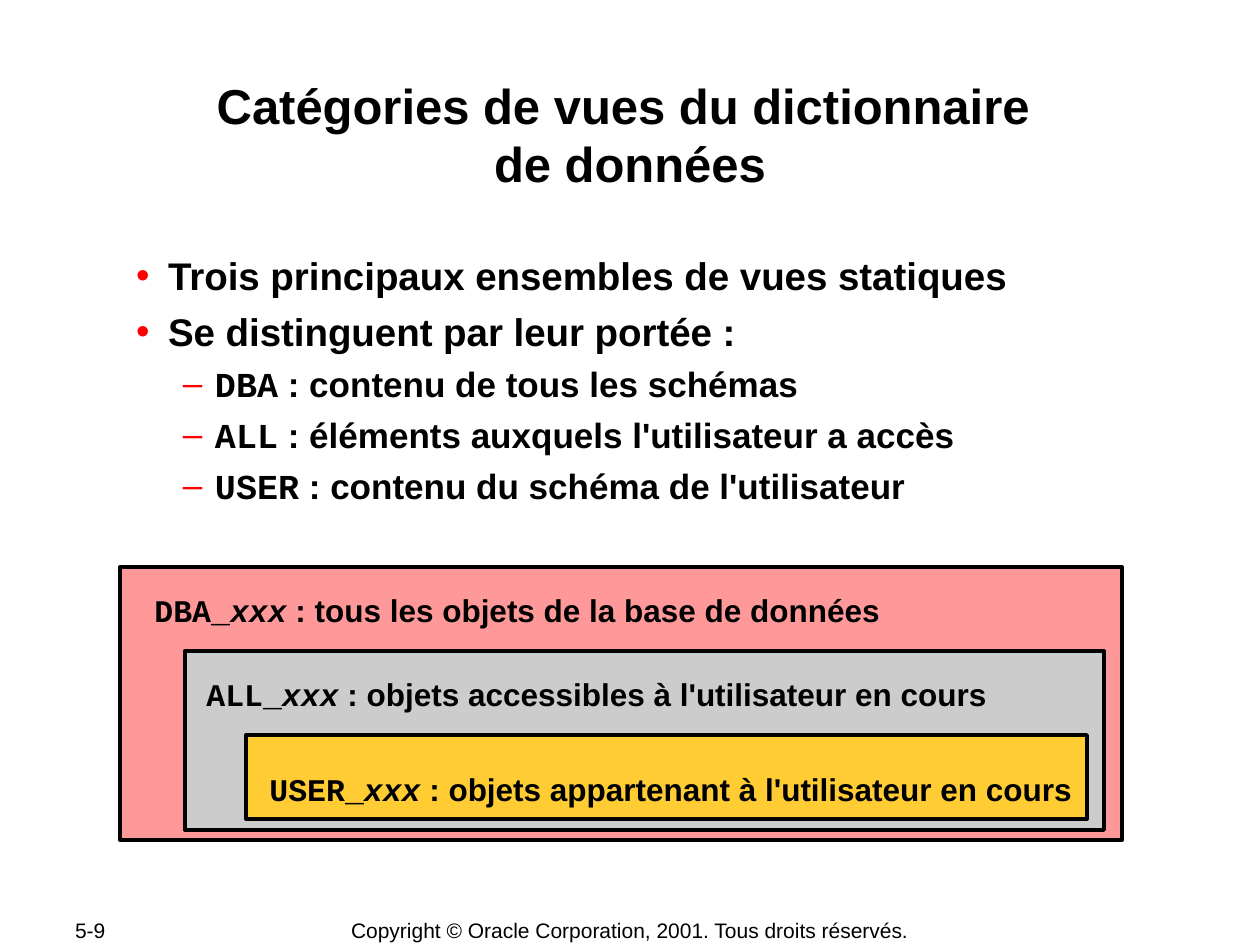
from lxml import etree
from pptx import Presentation
from pptx.dml.color import RGBColor
from pptx.enum.shapes import MSO_SHAPE
from pptx.enum.text import MSO_ANCHOR, MSO_AUTO_SIZE, PP_ALIGN
from pptx.oxml.ns import qn
from pptx.util import Emu, Pt

ROUNDED = MSO_SHAPE.ROUNDED_RECTANGLE
TOP, MIDDLE = MSO_ANCHOR.TOP, MSO_ANCHOR.MIDDLE
NO_FIT, GROW = MSO_AUTO_SIZE.NONE, MSO_AUTO_SIZE.SHAPE_TO_FIT_TEXT
LEFT, CENTER = PP_ALIGN.LEFT, PP_ALIGN.CENTER
PX_PER_INCH = 126
SANS, MONO = "Arial", "Courier New"
COLORS = {
    "text": "000000",
    "bullet": "FF0000",
    "dba": "FF9999",
    "all": "CCCCCC",
    "user": "FFCC33",
}
BULLETS = [
    (1, "", "Trois principaux ensembles de vues statiques"),
    (1, "", "Se distinguent par leur portée :"),
    (2, "DBA", " : contenu de tous les schémas"),
    (2, "ALL", " : éléments auxquels l'utilisateur a accès"),
    (2, "USER", " : contenu du schéma de l'utilisateur"),
]
BULLET_STYLES = {1: ("•", 48, 22, 5.5), 2: ("–", 95, 20, 5)}
SCOPES = [
    ("dba", (120, 567, 1002, 273), (142, 577, 751, 58),
     "DBA_", " : tous les objets de la base de données"),
    ("all", (185, 651, 919, 179), (194, 661, 806, 58),
     "ALL_", " : objets accessibles à l'utilisateur en cours"),
    ("user", (246, 735, 841, 84), (257, 756, 828, 58),
     "USER_", " : objets appartenant à l'utilisateur en cours"),
]


def px(length):
    """Turn px into EMU."""
    return Emu(round(length * 914400 / PX_PER_INCH))


def color(name):
    """Look up a palette colour."""
    return RGBColor.from_string(COLORS[name])


def place(shape, box):
    """Move and size a shape to a box in px."""
    shape.left, shape.top, shape.width, shape.height = map(px, box)


def format_run(run, size, font=SANS, bold=True):
    """Set the font of a run."""
    run.font.name = font
    run.font.size = Pt(size)
    run.font.bold = bold
    run.font.color.rgb = color("text")


def add_run(paragraph, text, size, font=SANS):
    """Append a formatted bold run to a paragraph."""
    run = paragraph.add_run()
    run.text = text
    format_run(run, size, font)
    return run


def prepare_placeholder(shape, box):
    """Place a placeholder with thin insets and return its text frame."""
    place(shape, box)
    frame = shape.text_frame
    frame.auto_size = NO_FIT
    frame.vertical_anchor = TOP
    frame.margin_left = frame.margin_right = px(1)
    frame.margin_top = frame.margin_bottom = px(1)
    return frame


def add_bullet(paragraph, character, margin):
    """Give a paragraph a coloured bullet and a hanging indent."""
    properties = paragraph._p.get_or_add_pPr()
    properties.set("marL", str(px(margin)))
    properties.set("indent", str(-px(32)))
    bullet_color = etree.SubElement(properties, qn("a:buClr"))
    etree.SubElement(bullet_color, qn("a:srgbClr"), val=COLORS["bullet"])
    etree.SubElement(properties, qn("a:buChar"), char=character)


def build_title(shape, box):
    """Fill the title placeholder."""
    frame = prepare_placeholder(shape, box)
    frame.text = "Catégories de vues du dictionnaire \vde données"
    paragraph = frame.paragraphs[0]
    paragraph.alignment = CENTER
    for run in paragraph.runs:
        format_run(run, 28)


def build_body(shape, box):
    """Fill the body placeholder with the two-level list."""
    frame = prepare_placeholder(shape, box)
    for index, (level, prefix, text) in enumerate(BULLETS):
        paragraph = frame.add_paragraph() if index else frame.paragraphs[0]
        character, margin, size, space = BULLET_STYLES[level]
        paragraph.level = level
        add_bullet(paragraph, character, margin)
        paragraph.space_before = Pt(space if index else 0)
        if prefix:
            add_run(paragraph, prefix, size, MONO)
        add_run(paragraph, text, size)


def build_scope(slide, fill, box, label_box, prefix, text):
    """Draw one nested scope box with its label."""
    shape = slide.shapes.add_shape(ROUNDED, *map(px, box))
    shape.adjustments[0] = 0
    shape.shadow.inherit = False
    shape.fill.solid()
    shape.fill.fore_color.rgb = color(fill)
    shape.line.color.rgb = color("text")
    shape.line.width = Pt(2.25)
    label = slide.shapes.add_textbox(*map(px, label_box))
    frame = label.text_frame
    frame.word_wrap = False
    frame.auto_size = GROW
    paragraph = frame.paragraphs[0]
    paragraph.line_spacing = 1.2
    add_run(paragraph, prefix, 18, MONO)
    add_run(paragraph, "xxx", 18, MONO).font.italic = True
    add_run(paragraph, text, 18)


def build_footer(slide, box, text, alignment):
    """Add one line of footer text without insets."""
    shape = slide.shapes.add_textbox(*map(px, box))
    frame = shape.text_frame
    frame.word_wrap = True
    frame.vertical_anchor = MIDDLE
    frame.margin_left = frame.margin_right = 0
    frame.margin_top = frame.margin_bottom = 0
    frame.text = text
    paragraph = frame.paragraphs[0]
    paragraph.alignment = alignment
    format_run(paragraph.runs[0], 12, bold=False)


def main():
    """Build and save the slide."""
    presentation = Presentation()
    presentation.slide_width, presentation.slide_height = px(1260), px(945)
    slide = presentation.slides.add_slide(presentation.slide_layouts[1])
    build_footer(slide, (75, 917, 122, 26), "5-9", LEFT)
    build_footer(slide, (340, 917, 580, 26),
                 "Copyright © Oracle Corporation, 2001. Tous droits réservés.", CENTER)
    build_title(slide.shapes.title, (126, 74, 1008, 121))
    build_body(slide.placeholders[1], (119, 251, 1016, 258))
    for scope in SCOPES:
        build_scope(slide, *scope)
    presentation.save("out.pptx")


if __name__ == "__main__":
    main()
